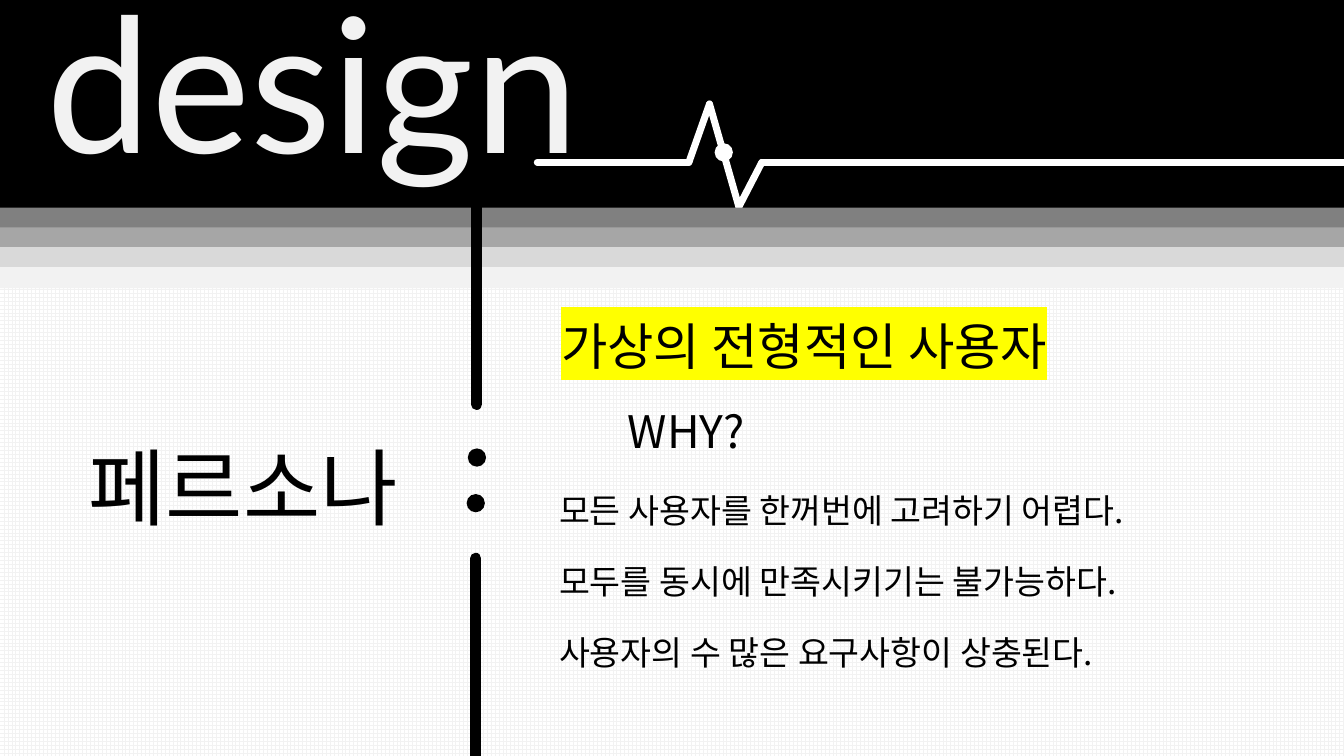
import itertools

import pptx
import pptx.dml.color
import pptx.enum.dml
import pptx.enum.shapes
import pptx.enum.text
import pptx.oxml
import pptx.oxml.ns
import pptx.util

Cm = pptx.util.Cm
Pt = pptx.util.Pt
RGBColor = pptx.dml.color.RGBColor
SHAPE = pptx.enum.shapes.MSO_SHAPE
TEXT = pptx.enum.text

BLACK = RGBColor(0x00, 0x00, 0x00)
WHITE = RGBColor(0xFF, 0xFF, 0xFF)
PALE = RGBColor(0xF2, 0xF2, 0xF2)
LIGHT = RGBColor(0xD9, 0xD9, 0xD9)
SILVER = RGBColor(0xA6, 0xA6, 0xA6)
GRAY = RGBColor(0x80, 0x80, 0x80)
YELLOW = RGBColor(0xFF, 0xFF, 0x00)

WIDE, HIGH = 33.87, 19.05


def node(tag, **attrs):
    item = pptx.oxml.parse_xml(f"<a:{tag} {pptx.oxml.ns.nsdecls('a')}/>")
    for key, value in attrs.items():
        item.set(key, value)
    return item


class Deck:
    latin = "Lato"
    korean = "Noto Sans CJK KR"

    def __init__(self):
        self.prs = pptx.Presentation()
        self.prs.slide_width = Cm(WIDE)
        self.prs.slide_height = Cm(HIGH)
        self.slide = self.prs.slides.add_slide(self.prs.slide_layouts[5])
        self.shapes = self.slide.shapes

    def shape(self, kind, x, y, w, h, color):
        item = self.shapes.add_shape(kind, Cm(x), Cm(y), Cm(w), Cm(h))
        item.shadow.inherit = False
        item.line.fill.background()
        item.fill.solid()
        item.fill.fore_color.rgb = color
        return item

    def grid(self, x, y, w, h):
        fill = self.shape(SHAPE.RECTANGLE, x, y, w, h, WHITE).fill
        fill.patterned()
        fill.pattern = pptx.enum.dml.MSO_PATTERN.LARGE_GRID
        fill.fore_color.rgb = PALE
        fill.back_color.rgb = WHITE

    def dot(self, x, y, color):
        self.shape(SHAPE.OVAL, x, y, 0.46, 0.46, color)

    def line(self, start, end, color, width):
        item = self.shapes.add_connector(
            pptx.enum.shapes.MSO_CONNECTOR.STRAIGHT,
            *(Cm(value) for value in start + end))
        item.line.color.rgb = color
        item.line.width = Pt(width)
        item.line._ln.set("cap", "rnd")
        item._element.spPr.append(node("effectLst"))

    def run(self, para, words, size, font, color, mark=None):
        run = para.add_run()
        run.text = words
        run.font.size = Pt(size)
        run.font.name = font
        run.font.color.rgb = color
        props = run._r.get_or_add_rPr()
        props.find(pptx.oxml.ns.qn("a:latin")).addnext(node("ea", typeface=font))
        if mark is not None:
            light = node("highlight")
            light.append(node("srgbClr", val=str(mark)))
            props.find(pptx.oxml.ns.qn("a:solidFill")).addnext(light)

    def title(self, words, x, y, w, h, size):
        item = self.shapes.title
        item.left, item.top, item.width, item.height = Cm(x), Cm(y), Cm(w), Cm(h)
        self.shapes._spTree.append(item._element)
        frame = item.text_frame
        frame.auto_size = TEXT.MSO_AUTO_SIZE.NONE
        frame.vertical_anchor = TEXT.MSO_ANCHOR.MIDDLE
        para = frame.paragraphs[0]
        para.alignment = TEXT.PP_ALIGN.LEFT
        para.line_spacing = 0.9
        self.run(para, words, size, self.latin, PALE)

    def text(self, lines, x, y, w, h, size, gap=0, mark=None, wrap=True):
        frame = self.shapes.add_textbox(Cm(x), Cm(y), Cm(w), Cm(h)).text_frame
        frame.word_wrap = wrap
        for index, words in enumerate(lines):
            para = frame.add_paragraph() if index else frame.paragraphs[0]
            para.space_before = Pt(gap if index else 0)
            self.run(para, words, size, self.korean, BLACK, mark)

    def save(self):
        self.prs.save("out.pptx")


def main():
    deck = Deck()
    deck.grid(0, 7.09, WIDE, 11.96)
    deck.shape(SHAPE.RECTANGLE, 0, 0, WIDE, 5.33, BLACK)
    deck.title("design", 0.91, -0.2, 15.39, 5.05, 134)
    deck.text(["페르소나"], 1.98, 10.85, 8.51, 2.82, 60)

    base = 4.09
    pulse = [(13.54, base), (17.36, base), (17.88, 2.62),
             (18.62, 5.21), (19.2, base), (WIDE, base)]
    for start, end in itertools.pairwise(pulse):
        deck.line(start, end, WHITE, 5)
    for index, color in enumerate([GRAY, SILVER, LIGHT, PALE]):
        deck.shape(SHAPE.RECTANGLE, 0, 5.23 + 0.5 * index, WIDE, 0.53, color)
    deck.dot(18.01, 3.61, WHITE)

    deck.text(["가상의 전형적인 사용자"], 13.89, 7.82, 14.88, 1.8, 36, mark=YELLOW)
    deck.text(["모든 사용자를 한꺼번에 고려하기 어렵다.",
               "모두를 동시에 만족시키기는 불가능하다.",
               "사용자의 수 많은 요구사항이 상충된다."],
              13.84, 12.22, 15.24, 5.38, 24, gap=22)
    deck.text(["WHY?"], 15.57, 10.06, 4.27, 1.63, 32, wrap=False)

    deck.dot(11.79, 11.3, BLACK)
    deck.dot(11.76, 12.45, BLACK)
    deck.line((12.01, 4.88), (12.01, 10.19), BLACK, 8)
    deck.line((11.99, 14.07), (11.99, HIGH), BLACK, 8)
    deck.save()


if __name__ == "__main__":
    main()
